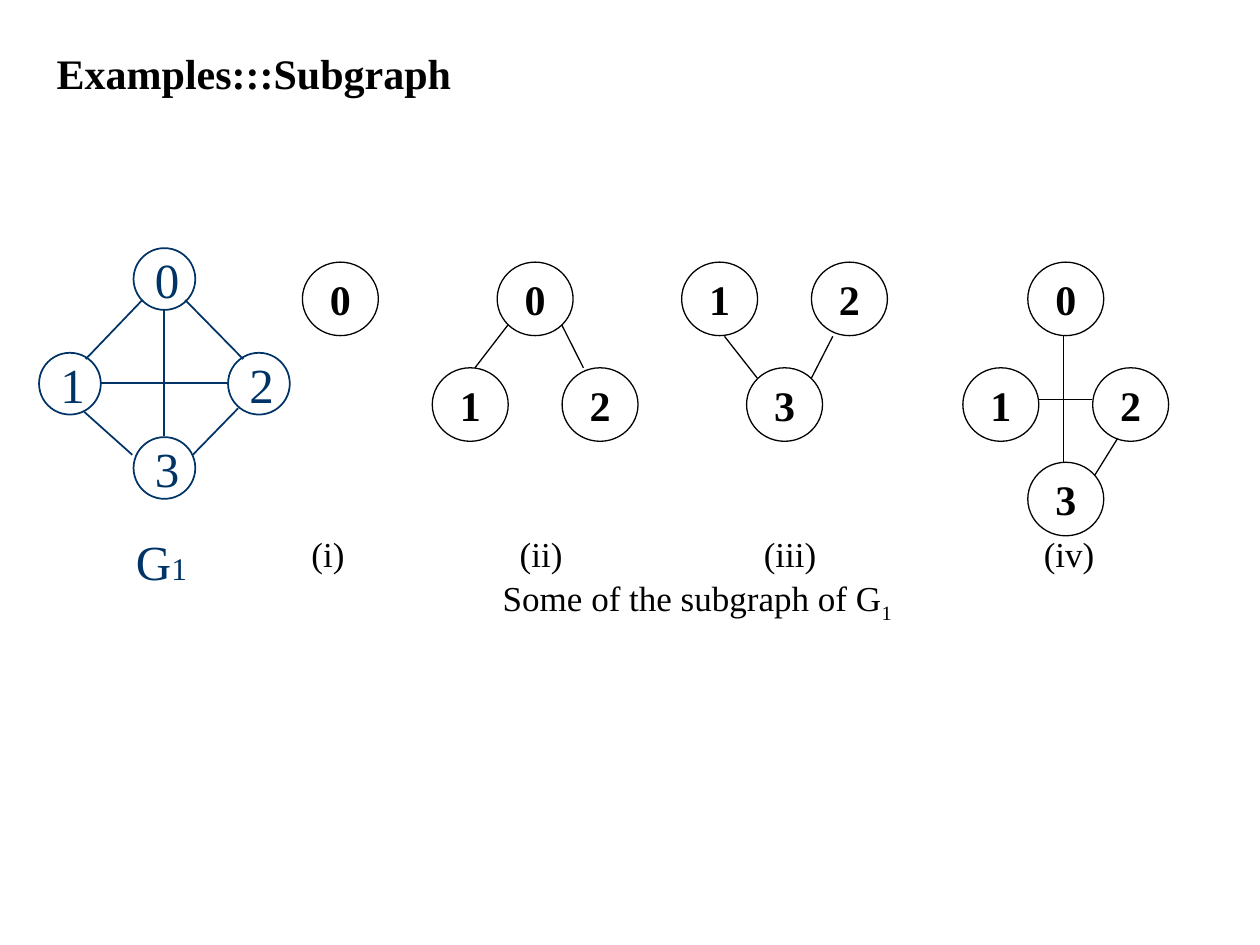
from dataclasses import dataclass

import pptx
import pptx.dml.color
import pptx.enum.shapes
import pptx.enum.text
import pptx.oxml.ns
import pptx.util
from lxml import etree

Pt = pptx.util.Pt
HUES = {"ink": "000000", "navy": "003366", "white": "FFFFFF"}
FACE = "Times New Roman"


@dataclass
class Style:
    hue: str
    wide: float
    high: float
    line: float
    size: float
    bold: bool
    fill: bool
    step: float   # distance between node columns
    rows: tuple   # tops of the node rows


@dataclass
class Graph:
    style: Style
    left: float
    nodes: list   # (label, column, row)
    edges: list   # (x1, y1, x2, y2)


MAIN = Style("navy", 35.3, 35.3, 1, 28, False, True, 54, (141.8, 201.6, 249.8))
PART = Style("ink", 43.4, 42, 0.75, 24, True, False, 37.1, (149.8, 210.2, 264.2))

GRAPHS = [
    Graph(PART, 172.8, [("0", 0, 0)], []),
    Graph(PART, 247, [("0", 1, 0), ("1", 0, 1), ("2", 2, 1)],
          [(290.2, 185.8, 271.4, 210.2), (321.1, 185.8, 333.4, 210.2)]),
    Graph(PART, 389.5, [("3", 1, 1), ("1", 0, 0), ("2", 2, 0)],
          [(432.7, 216, 414, 192.2), (463.7, 216, 475.9, 192.2)]),
    Graph(PART, 550.2, [("0", 1, 0), ("1", 0, 1), ("2", 2, 1), ("3", 1, 2)],
          [(593.3, 228.2, 624.2, 228.2), (607.7, 192.2, 607.7, 264.2),
           (638.6, 250.6, 625.7, 271.4)]),
    Graph(MAIN, 22.3, [("0", 1, 0), ("1", 0, 1), ("2", 2, 1), ("3", 1, 2)],
          [(93.6, 177.1, 93.6, 249.1), (57.6, 218.9, 129.6, 218.9),
           (81.4, 171.4, 49, 205.2), (105.8, 171.4, 139, 205.2),
           (48.2, 235.4, 75.6, 259.9), (136.1, 233.3, 110.2, 259.9)]),
]


def tint(name: str) -> pptx.dml.color.RGBColor:
    return pptx.dml.color.RGBColor.from_string(HUES[name])


def set_font(font, size: float, hue: str, bold: bool = False) -> None:
    font.name, font.size, font.bold = FACE, Pt(size), bold
    font.color.rgb = tint(hue)


def add_node(slide, style: Style, label: str, left: float, top: float) -> None:
    node = slide.shapes.add_shape(
        pptx.enum.shapes.MSO_SHAPE.OVAL,
        Pt(left), Pt(top), Pt(style.wide), Pt(style.high))
    node.shadow.inherit = False
    if style.fill:
        node.fill.solid()
        node.fill.fore_color.rgb = tint("white")
    else:
        node.fill.background()
    node.line.color.rgb = tint(style.hue)
    node.line.width = Pt(style.line)
    para = node.text_frame.paragraphs[0]
    para.text = label
    para.alignment = pptx.enum.text.PP_ALIGN.CENTER
    set_font(para.font, style.size, style.hue, style.bold)


def add_edge(slide, style: Style, ends: tuple) -> None:
    edge = slide.shapes.add_connector(
        pptx.enum.shapes.MSO_CONNECTOR.STRAIGHT, *map(Pt, ends))
    edge.line.color.rgb = tint(style.hue)
    edge.line.width = Pt(style.line)
    etree.SubElement(edge._element.spPr, pptx.oxml.ns.qn("a:effectLst"))


def add_graph(slide, graph: Graph) -> None:
    style = graph.style
    for label, col, row in graph.nodes:
        add_node(slide, style, label, graph.left + col * style.step, style.rows[row])
    for ends in graph.edges:
        add_edge(slide, style, ends)


def add_box(slide, left: float, top: float, wide: float, high: float):
    box = slide.shapes.add_textbox(Pt(left), Pt(top), Pt(wide), Pt(high))
    frame = box.text_frame
    frame.word_wrap = True
    frame.auto_size = pptx.enum.text.MSO_AUTO_SIZE.SHAPE_TO_FIT_TEXT
    return frame


def set_tabs(para, stops: list) -> None:
    tabs = etree.SubElement(para._p.get_or_add_pPr(), pptx.oxml.ns.qn("a:tabLst"))
    for stop in stops:
        etree.SubElement(tabs, pptx.oxml.ns.qn("a:tab"), pos=str(Pt(stop)), algn="l")


def main() -> None:
    deck = pptx.Presentation()
    deck.slide_width, deck.slide_height = Pt(720), Pt(540)
    slide = deck.slides.add_slide(deck.slide_layouts[5])

    # Title
    title = slide.shapes.title
    title.left, title.top, title.width, title.height = map(Pt, (25.2, 14.4, 612, 54))
    title.text_frame.vertical_anchor = pptx.enum.text.MSO_ANCHOR.MIDDLE
    para = title.text_frame.paragraphs[0]
    para.text = "Examples:::Subgraph"
    para.alignment = pptx.enum.text.PP_ALIGN.LEFT
    set_font(para.font, 24, "ink", True)

    # Graphs
    for graph in GRAPHS:
        add_graph(slide, graph)

    # Subgraph numbers and caption
    frame = add_box(slide, 164.9, 301, 472.3, 57)
    marks = frame.paragraphs[0]
    marks.text = "\t(i)\t(ii)\t(iii)\t(iv)"
    set_tabs(marks, [6, 125, 264.5, 424.5])
    note = frame.add_paragraph()
    note.text = "\tSome of the subgraph of G"
    set_tabs(note, [115.3])
    note.space_before = Pt(1)
    sub = note.add_run()
    sub.text = "1"
    sub._r.get_or_add_rPr().set("baseline", "-25000")
    for para in (marks, note):
        set_font(para.font, 20, "ink")

    # Name of the main graph
    name = add_box(slide, 70.6, 300.2, 43.9, 41).paragraphs[0]
    for text, size in (("G", 28), ("1", 18)):
        run = name.add_run()
        run.text = text
        set_font(run.font, size, "navy")

    deck.save("out.pptx")


if __name__ == "__main__":
    main()
